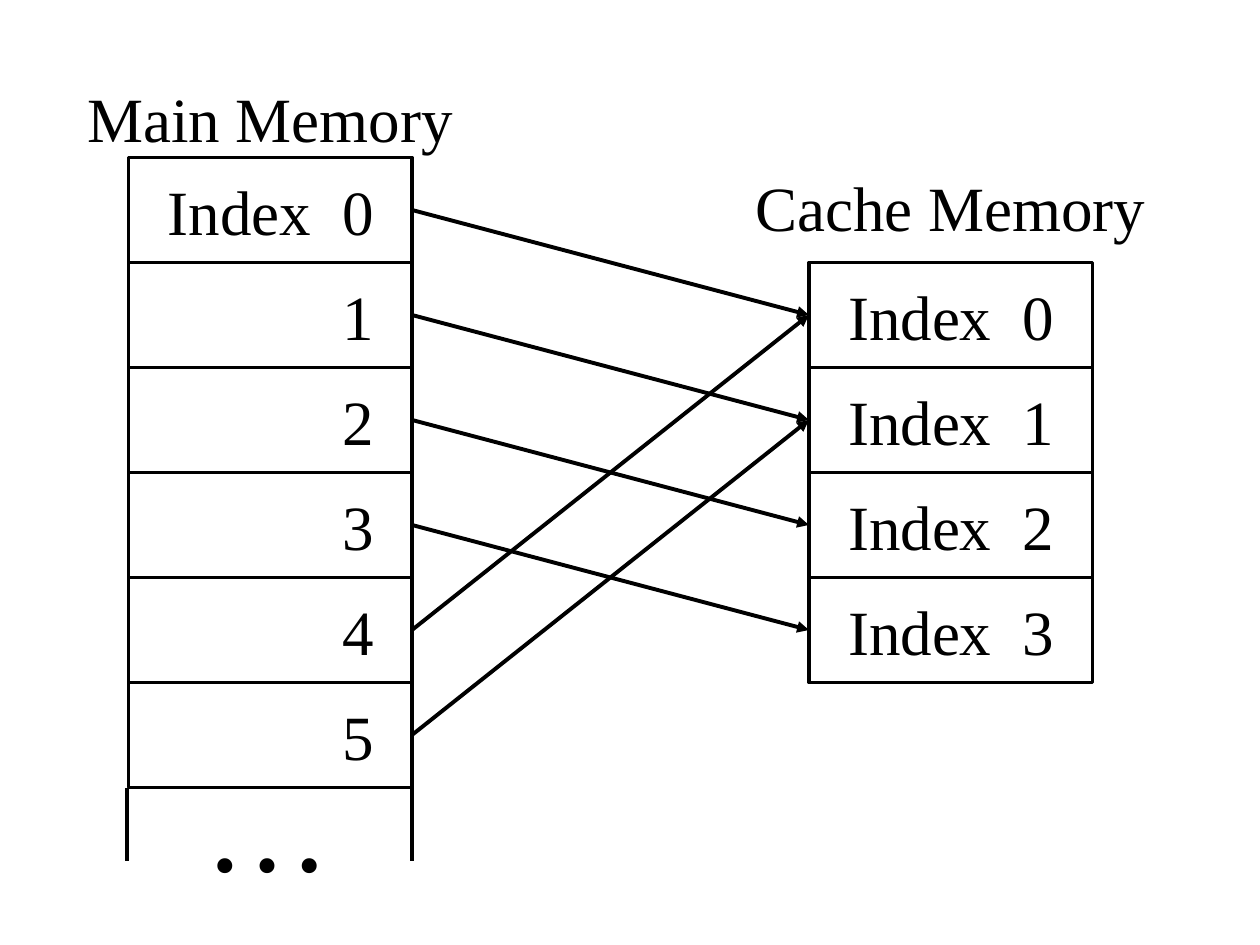
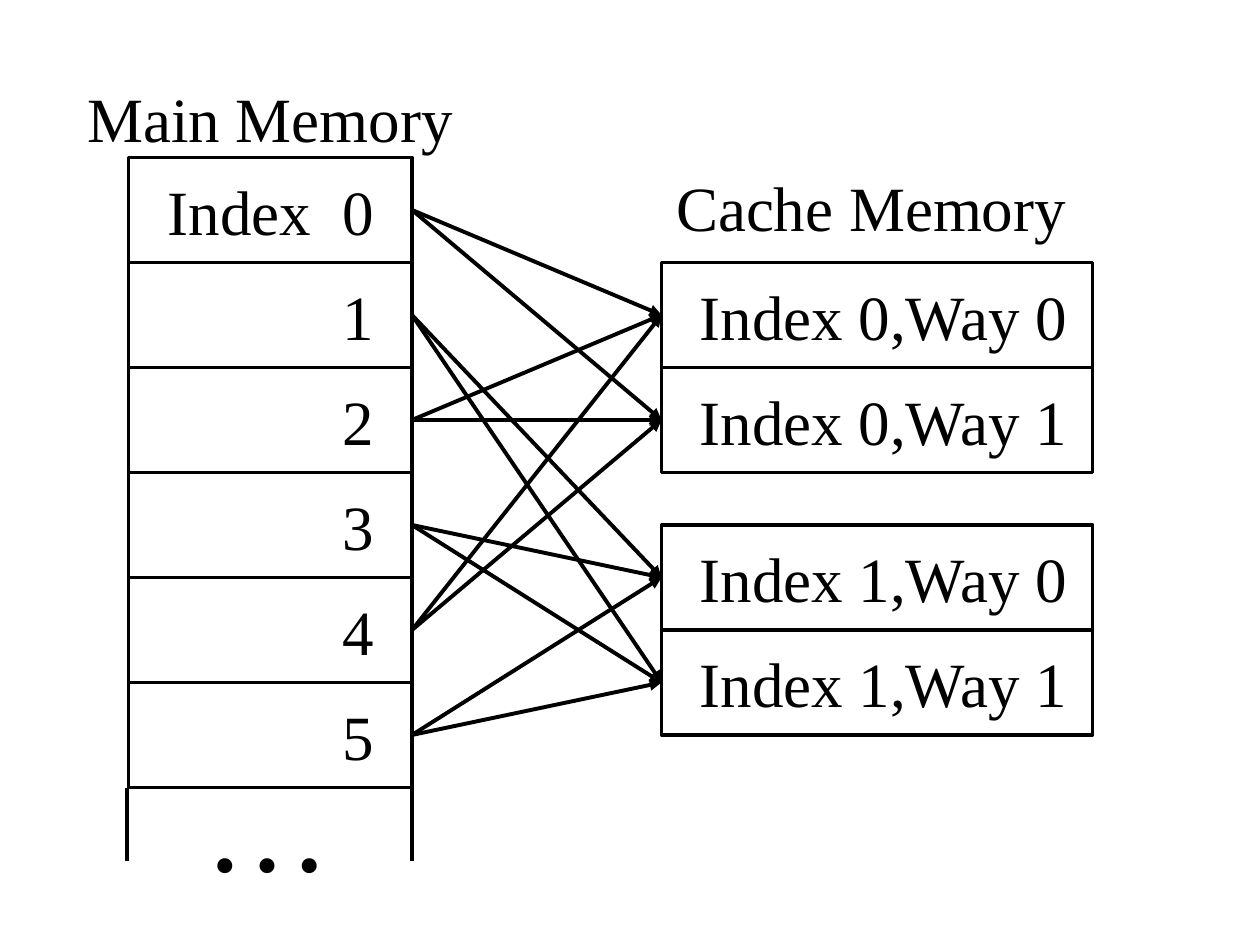
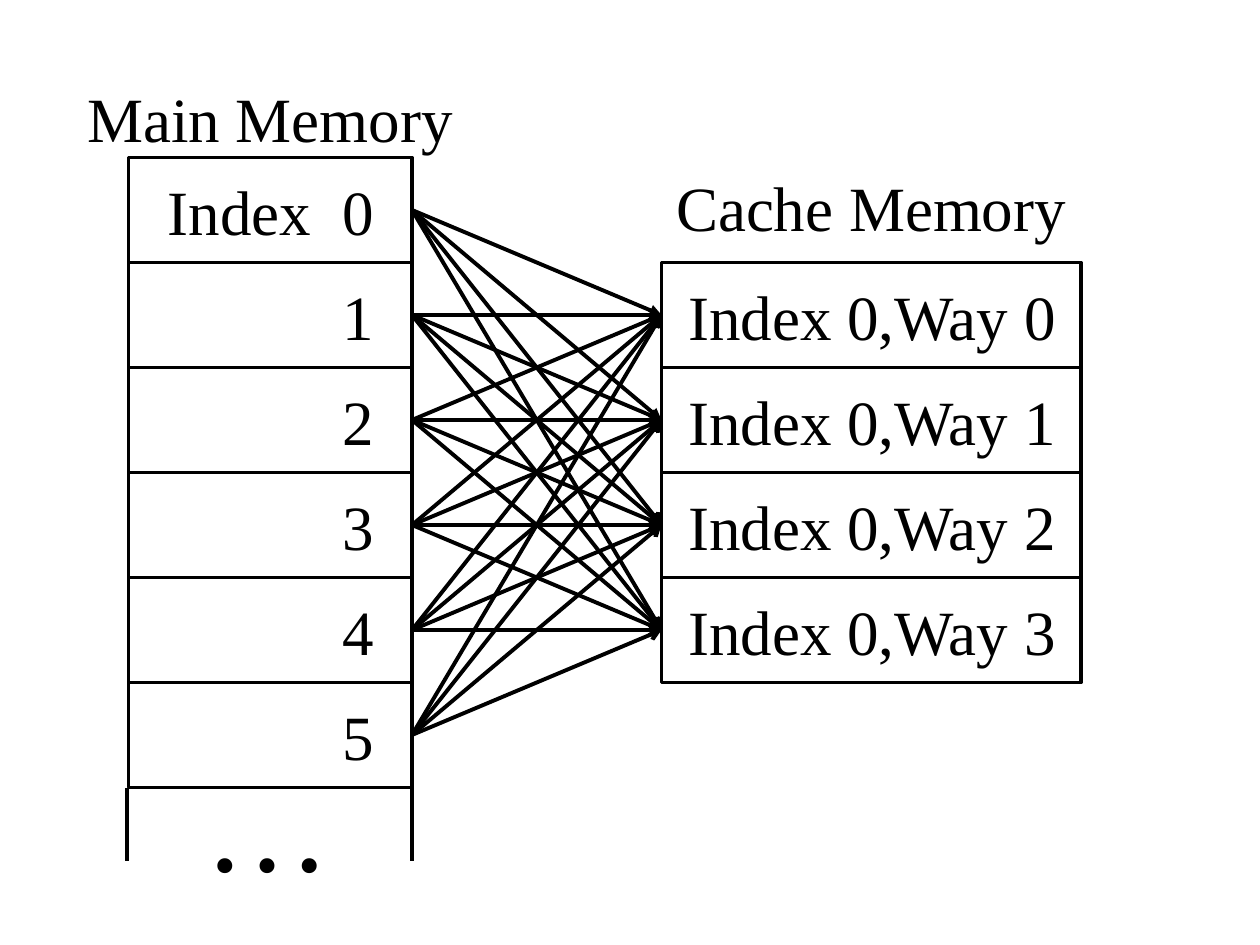
from itertools import product

from pptx import Presentation
from pptx.dml.color import RGBColor
from pptx.enum import shapes, text
from pptx.oxml import ns, xmlchemy
from pptx.util import Inches, Pt

BLACK = "000000"
WHITE = "FFFFFF"
FONT = "Times New Roman"
TOP = 1.25
ROW_HEIGHT = 5 / 6
MAIN_LEFT = 1.02
MAIN_WIDTH = 2.25
MAIN_RIGHT = MAIN_LEFT + MAIN_WIDTH
MAIN_LABELS = ["Index  0", "1", "2", "3", "4", "5"]
WAYS_LEFT = 5.25


def colour(value):
    return RGBColor.from_string(value)


def row_top(row):
    return TOP + row * ROW_HEIGHT


def write(frame, words, size, align):
    para = frame.paragraphs[0]
    para.alignment = align
    span = para.add_run()
    span.text = words
    span.font.name = FONT
    span.font.size = Pt(size)
    span.font.color.rgb = colour(BLACK)


def add_box(page, left, top, width, height, outline):
    box = page.shapes.add_shape(
        shapes.MSO_SHAPE.RECTANGLE,
        Inches(left), Inches(top), Inches(width), Inches(height))
    box.shadow.inherit = False
    box.fill.solid()
    box.fill.fore_color.rgb = colour(WHITE)
    box.line.color.rgb = colour(outline)
    box.line.width = Pt(2)
    return box


def add_cell(page, left, row, width, words, right_inset):
    box = add_box(page, left, row_top(row), width, ROW_HEIGHT, BLACK)
    frame = box.text_frame
    frame.margin_right = Inches(right_inset)
    frame.vertical_anchor = text.MSO_ANCHOR.MIDDLE
    write(frame, words, 36, text.PP_ALIGN.RIGHT)


def add_heading(page, left, top, width, words):
    box = page.shapes.add_textbox(
        Inches(left), Inches(top), Inches(width), Inches(0.71))
    frame = box.text_frame
    frame.word_wrap = False
    frame.auto_size = text.MSO_AUTO_SIZE.SHAPE_TO_FIT_TEXT
    write(frame, words, 36, text.PP_ALIGN.CENTER)


def add_line(page, start, end, head=None):
    line = page.shapes.add_connector(
        shapes.MSO_CONNECTOR.STRAIGHT,
        Inches(start[0]), Inches(start[1]), Inches(end[0]), Inches(end[1]))
    line.line.color.rgb = colour(BLACK)
    line.line.width = Pt(2.25)
    if head:
        tail = xmlchemy.OxmlElement("a:tailEnd")
        tail.set("type", head)
        line.line._get_or_add_ln().append(tail)
    properties = line._element.find(ns.qn("p:spPr"))
    properties.append(xmlchemy.OxmlElement("a:effectLst"))


def add_main_memory(page):
    for row, words in enumerate(MAIN_LABELS):
        add_cell(page, MAIN_LEFT, row, MAIN_WIDTH, words, 0.3)
    add_heading(page, 0.58, 0.58, 3.13, "Main Memory")


def add_cache(page, left, width, rows, labels, right_inset, heading_left):
    for row, words in zip(rows, labels):
        add_cell(page, left, row, width, words, right_inset)
    add_heading(page, heading_left, 1.29, 3.33, "Cache Memory")


def add_links(page, cache_left, links, head="triangle"):
    for main_row, cache_row in links:
        add_line(page,
                 (MAIN_RIGHT, row_top(main_row + 0.5)),
                 (cache_left, row_top(cache_row + 0.5)), head)


def add_continuation(page):
    box = add_box(page, 0.62, 6.58, 3, 0.92, WHITE)
    box.rotation = 180
    box.text_frame.vertical_anchor = text.MSO_ANCHOR.BOTTOM
    write(box.text_frame, "…", 72, text.PP_ALIGN.CENTER)
    for x in (MAIN_RIGHT, MAIN_LEFT - 0.01):
        add_line(page, (x, row_top(len(MAIN_LABELS))), (x, 6.83))


def build_direct_mapped(page):
    left = 6.42
    rows = [1, 2, 3, 4]
    labels = [f"Index  {index}" for index in range(4)]
    add_main_memory(page)
    add_cache(page, left, 2.25, rows, labels, 0.3, 5.88)
    add_links(page, left, [(row, rows[row % 4]) for row in range(6)])
    add_continuation(page)


def build_two_way(page):
    sets = [[1, 2], [3.5, 4.5]]
    labels = [f"Index {index},Way {way}"
              for index, way in product(range(2), repeat=2)]
    add_main_memory(page)
    add_cache(page, WAYS_LEFT, 3.42, sum(sets, []), labels, 0.2, WAYS_LEFT)
    add_links(page, WAYS_LEFT,
              [(row, target) for row in range(6) for target in sets[row % 2]])
    add_continuation(page)


def build_fully_associative(page):
    rows = [1, 2, 3, 4]
    labels = [f"Index 0,Way {way}" for way in range(4)]
    links = list(product(range(6), rows))
    add_main_memory(page)
    add_cache(page, WAYS_LEFT, 3.33, rows, labels, 0.2, WAYS_LEFT)
    add_links(page, WAYS_LEFT, links[:2])
    add_links(page, WAYS_LEFT, links[2:], "arrow")
    add_continuation(page)


def main():
    deck = Presentation()
    deck.slide_width = Inches(10)
    deck.slide_height = Inches(7.5)
    blank = deck.slide_layouts[6]
    for build in (build_direct_mapped, build_two_way, build_fully_associative):
        build(deck.slides.add_slide(blank))
    deck.save("out.pptx")


main()
